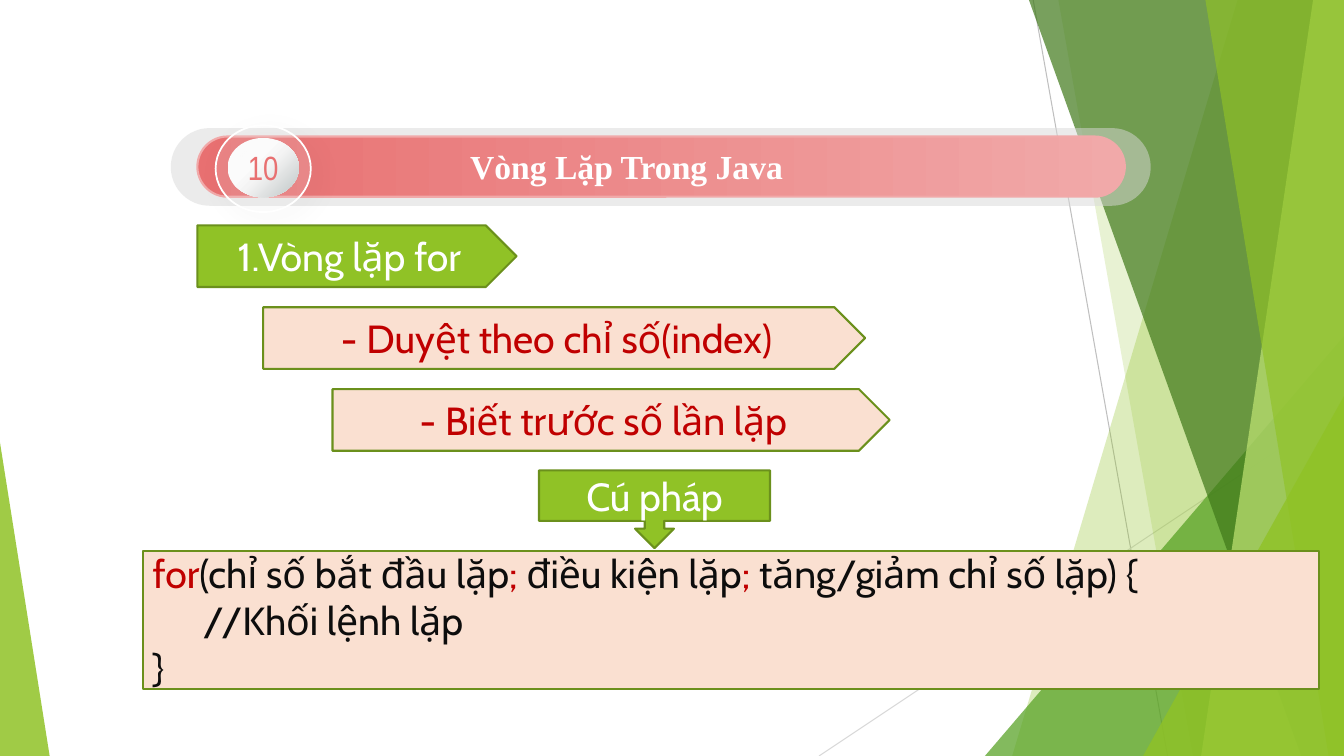
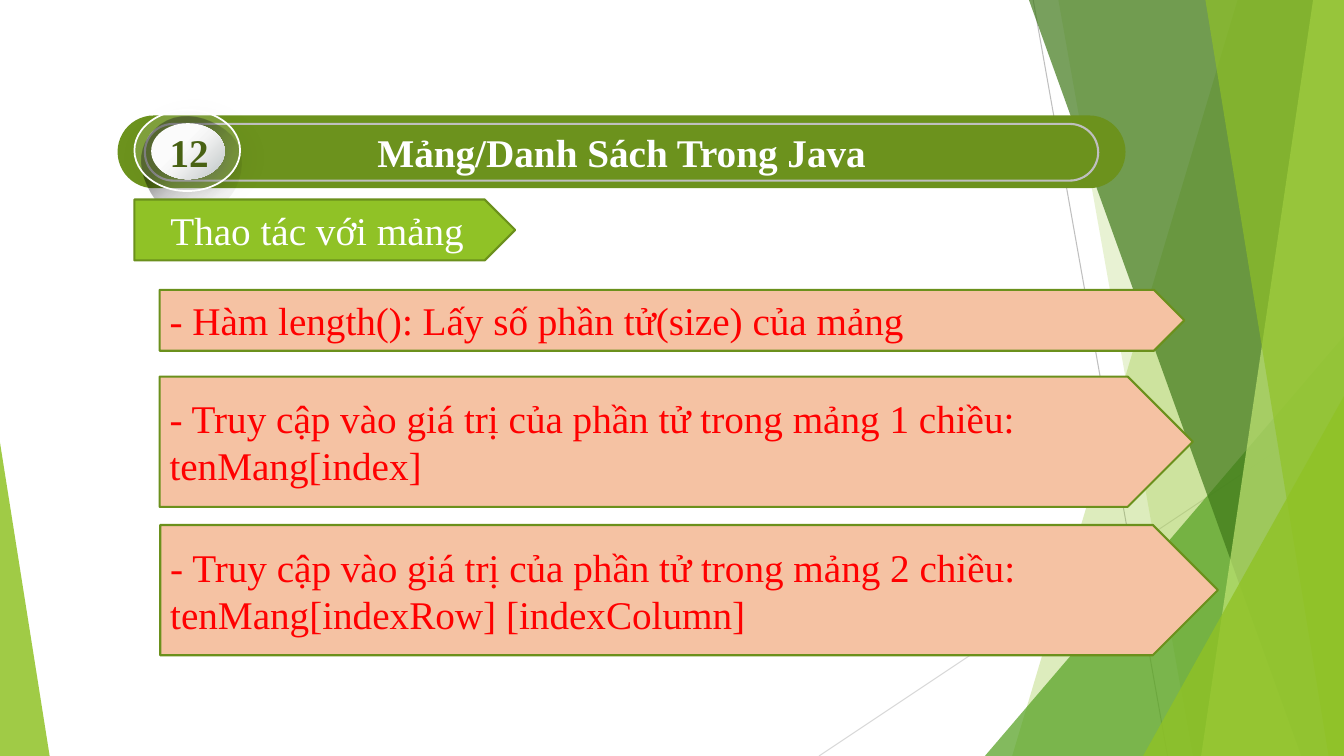
from lxml import etree
from pptx import Presentation
from pptx.dml.color import RGBColor
from pptx.enum.shapes import MSO_CONNECTOR, MSO_SHAPE
from pptx.enum.text import MSO_ANCHOR, PP_ALIGN
from pptx.oxml.ns import qn
from pptx.util import Pt

PILL = MSO_SHAPE.ROUNDED_RECTANGLE
OVAL = MSO_SHAPE.OVAL
TRIANGLE = MSO_SHAPE.ISOSCELES_TRIANGLE
ARROW_TAG = MSO_SHAPE.PENTAGON
CALLOUT = MSO_SHAPE.DOWN_ARROW_CALLOUT
BOX = MSO_SHAPE.RECTANGLE
STRAIGHT = MSO_CONNECTOR.STRAIGHT
LEFT, CENTER = PP_ALIGN.LEFT, PP_ALIGN.CENTER
MIDDLE = MSO_ANCHOR.MIDDLE

WIDTH, HEIGHT = 960, 540
SERIF, SANS, NARROW = "Times New Roman", "Cabin", "Arial Narrow"

COLORS = {
    "white": "FFFFFF",
    "black": "000000",
    "ink": "0D0D0D",
    "grey": "D9D9D9",
    "rule": "BFBFBF",
    "pearl": "F7F7F7",
    "steel": "B8C0C0",
    "shade": "494949",
    "green": "90C226",
    "leaf": "54A021",
    "forest": "3F7819",
    "lime": "C0E474",
    "olive": "6B901C",
    "banner": "6C921D",
    "moss": "486113",
    "coral": "E87071",
    "blush": "F1A9A9",
    "cream": "FAE0D1",
    "peach": "F5C2A3",
    "crimson": "C00000",
    "red": "FF0000",
}

BALL_STOPS = [(11, "white", 100), (39, "white", 100), (53, "pearl", 100), (100, "steel", 100)]
GLOW_STOPS = [(0, "white", 100), (43, "pearl", 100), (100, "steel", 100)]
HALO_STOPS = [(0, "black", 46), (34, "black", 43), (51, "black", 20),
              (65, "black", 10), (78, "black", 5), (100, "black", 0)]


def rgb(name):
    return RGBColor.from_string(COLORS[name])


def add_color(parent, name, alpha):
    color = etree.SubElement(parent, qn("a:srgbClr"), val=COLORS[name])
    etree.SubElement(color, qn("a:alpha"), val=str(alpha * 1000))


def curve_points(start, curves, steps=10):
    points = [start]
    for a, b, end in curves:
        begin = points[-1]
        for step in range(1, steps + 1):
            t = step / steps
            u = 1 - t
            points.append(tuple(
                u ** 3 * p + 3 * u * u * t * q + 3 * u * t * t * r + t ** 3 * s
                for p, q, r, s in zip(begin, a, b, end)))
    return points


class Deck:
    def __init__(self):
        self.presentation = Presentation()
        self.presentation.slide_width = Pt(WIDTH)
        self.presentation.slide_height = Pt(HEIGHT)
        self.slide = None

    def new_slide(self):
        self.slide = self.presentation.slides.add_slide(self.presentation.slide_layouts[6])
        self.facets()

    def paint(self, shape, fill, alpha=100, line=None, weight=1.5):
        shape.shadow.inherit = False
        shape.fill.solid()
        shape.fill.fore_color.rgb = rgb(fill)
        if alpha < 100:
            color = shape._element.spPr.find(".//" + qn("a:srgbClr"))
            etree.SubElement(color, qn("a:alpha"), val=str(alpha * 1000))
        if line:
            shape.line.color.rgb = rgb(line)
            shape.line.width = Pt(weight)
        else:
            shape.line.fill.background()
        return shape

    def blend(self, shape, stops, angle):
        shape.fill.gradient()
        shape.fill.gradient_angle = (360 - angle) % 360
        stop_list = shape._element.spPr.find(".//" + qn("a:gsLst"))
        for stop in list(stop_list):
            stop_list.remove(stop)
        for position, name, alpha in stops:
            stop = etree.SubElement(stop_list, qn("a:gs"), pos=str(position * 1000))
            add_color(stop, name, alpha)

    def cast_shadow(self, shape, name, alpha, blur, distance):
        effects = shape._element.spPr.find(qn("a:effectLst"))
        shadow = etree.SubElement(effects, qn("a:outerShdw"), blurRad=str(Pt(blur)),
                                  dist=str(Pt(distance)), dir="2700000")
        add_color(shadow, name, alpha)

    def shape(self, preset, box, fill, adjust=None, **style):
        shape = self.slide.shapes.add_shape(preset, *map(Pt, box))
        if adjust is not None:
            shape.adjustments[0] = adjust
        return self.paint(shape, fill, **style)

    def outline(self, points, fill, alpha=100):
        (x, y), *rest = [(Pt(px), Pt(py)) for px, py in points]
        builder = self.slide.shapes.build_freeform(x, y)
        builder.add_line_segments(rest, close=True)
        return self.paint(builder.convert_to_shape(), fill, alpha)

    def rule(self, start, end, color):
        rule = self.slide.shapes.add_connector(STRAIGHT, *map(Pt, start + end))
        rule.line.color.rgb = rgb(color)
        rule.line.width = Pt(0.75)
        etree.SubElement(rule._element.spPr, qn("a:effectLst"))

    def style(self, run, font, size, color, bold=False):
        run.font.name = font
        run.font.size = Pt(size)
        run.font.bold = bold
        run.font.color.rgb = rgb(color)

    def set_text(self, shape, text, font, size, color, align=CENTER, bold=False):
        frame = shape.text_frame
        frame.word_wrap = True
        frame.text = text
        paragraph = frame.paragraphs[0]
        paragraph.alignment = align
        self.style(paragraph.runs[0], font, size, color, bold)

    def label(self, box, text, font, size, color, **style):
        label = self.slide.shapes.add_textbox(*map(Pt, box))
        self.set_text(label, text, font, size, color, **style)

    def tag(self, box, text, font, fill, color, align=CENTER, preset=ARROW_TAG):
        tag = self.shape(preset, box, fill, line="olive")
        tag.text_frame.vertical_anchor = MIDDLE
        self.set_text(tag, text, font, 28, color, align)

    def code(self, box, lines):
        panel = self.shape(BOX, box, "cream", line="olive")
        frame = panel.text_frame
        frame.word_wrap = True
        frame.vertical_anchor = MIDDLE
        for index, (indent, pieces) in enumerate(lines):
            paragraph = frame.add_paragraph() if index else frame.paragraphs[0]
            paragraph.alignment = LEFT
            paragraph._p.get_or_add_pPr().set("marL", str(Pt(indent)))
            for text, color in pieces:
                run = paragraph.add_run()
                run.text = text
                self.style(run, SANS, 28, color)

    def ball(self, box):
        self.blend(self.shape(OVAL, box, "white"), BALL_STOPS, 45)

    def ring(self, box):
        ring = self.shape(OVAL, box, "white", alpha=14, line="white", weight=1.25)
        self.cast_shadow(ring, "black", 11, 17, 7)

    def panel(self, top, bottom, color, alpha):
        self.outline([(top, 0), (WIDTH, 0), (WIDTH, HEIGHT), (bottom, HEIGHT)], color, alpha)

    def corner(self, left, top, width, color, alpha, apex=1):
        self.shape(TRIANGLE, (left, top, width, HEIGHT - top), color, adjust=apex, alpha=alpha)

    def facets(self):
        self.rule((738, 0), (834, HEIGHT), "rule")
        self.rule((WIDTH, 290), (585, HEIGHT), "grey")
        self.panel(884, 723, "green", 30)
        self.panel(756, 852, "green", 20)
        self.corner(703.5, 240, 256.5, "leaf", 72)
        self.panel(735, 929.5, "forest", 70)
        self.panel(938, 858, "lime", 70)
        self.panel(861, 949, "green", 65)
        self.corner(816.5, 283, 143.5, "green", 80)
        self.corner(0, 316, 35.5, "green", 85, apex=0)


def loop_slide(deck):
    deck.new_slide()
    deck.shape(PILL, (122, 91.5, 700, 55.5), "grey", adjust=0.5, alpha=50)
    banner = deck.shape(PILL, (141, 97.5, 662.5, 43), "coral", adjust=0.5, line="blush")
    deck.blend(banner, [(0, "coral", 100), (100, "blush", 100)], 0)
    deck.label((230, 101, 435, 36), "Vòng Lặp Trong Java", SERIF, 24, "white", bold=True)
    deck.ball((162.5, 98.5, 51, 42.5))
    deck.ring((154, 89.5, 68, 62))
    deck.label((163.5, 101.5, 49, 36), "10", NARROW, 24, "coral")

    tags = [
        (141, 228, "1.Vòng lặp for", "green", "white"),
        (188, 430, "- Duyệt theo chỉ số(index)", "cream", "crimson"),
        (237.5, 398, "- Biết trước số lần lặp", "cream", "crimson"),
    ]
    for row, (left, width, text, fill, color) in enumerate(tags):
        deck.tag((left, 161 + 58.5 * row, width, 44), text, SANS, fill, color)
    deck.tag((385, 336, 165, 55.5), "Cú pháp", SANS, "green", "white", preset=CALLOUT)
    deck.code((102, 393.5, 840, 98.5), [
        (0, [("for", "crimson"), ("(chỉ số bắt đầu lặp", "ink"), ("; ", "crimson"),
             ("điều kiện lặp", "ink"), ("; ", "crimson"), ("tăng/giảm chỉ số lặp) {", "ink")]),
        (36, [("//Khối lệnh lặp", "ink")]),
        (0, [("}", "ink")]),
    ])


def array_slide(deck):
    deck.new_slide()
    deck.shape(PILL, (84, 82.5, 720, 52), "banner", adjust=0.5)
    banner = deck.shape(PILL, (103.5, 88.5, 681, 40.5), "banner", adjust=0.5, line="rule")
    banner.text_frame.vertical_anchor = MIDDLE
    deck.set_text(banner, "Mảng/Danh Sách Trong Java", SERIF, 28, "white", bold=True)
    halo = curve_points((111, 143), [
        ((99, 126), (96.5, 106.5), (110, 93)),
        ((124, 78.5), (145, 81.5), (160.5, 93)),
        ((177, 105), (175, 129.5), (161, 144)),
        ((147.5, 157.5), (121.5, 160), (111, 143)),
    ])
    deck.blend(deck.outline(halo, "black"), HALO_STOPS, 45)
    glow = deck.shape(OVAL, (114, 93.5, 44, 34), "white")
    deck.blend(glow, GLOW_STOPS, 45)
    deck.cast_shadow(glow, "shade", 30, 11, 7)
    deck.ball((108, 88, 52.5, 40))
    deck.ring((96, 78.5, 75.5, 58))
    deck.label((114, 88, 43, 41), "12", SERIF, 28, "moss", align=LEFT, bold=True)

    deck.tag((96, 142.5, 272, 43.5), "Thao tác với mảng", SERIF, "green", "white")
    notes = [
        ((114, 207, 732, 43.5), "- Hàm length(): Lấy số phần tử(size) của mảng"),
        ((114, 269, 738, 93),
         "- Truy cập vào giá trị của phần tử trong mảng 1 chiều: tenMang[index]"),
        ((114.5, 375, 755.5, 93),
         "- Truy cập vào giá trị của phần tử trong mảng 2 chiều: tenMang[indexRow] [indexColumn]"),
    ]
    for box, text in notes:
        deck.tag(box, text, SERIF, "peach", "red", align=LEFT)


def main():
    deck = Deck()
    loop_slide(deck)
    array_slide(deck)
    deck.presentation.save("out.pptx")


if __name__ == "__main__":
    main()
